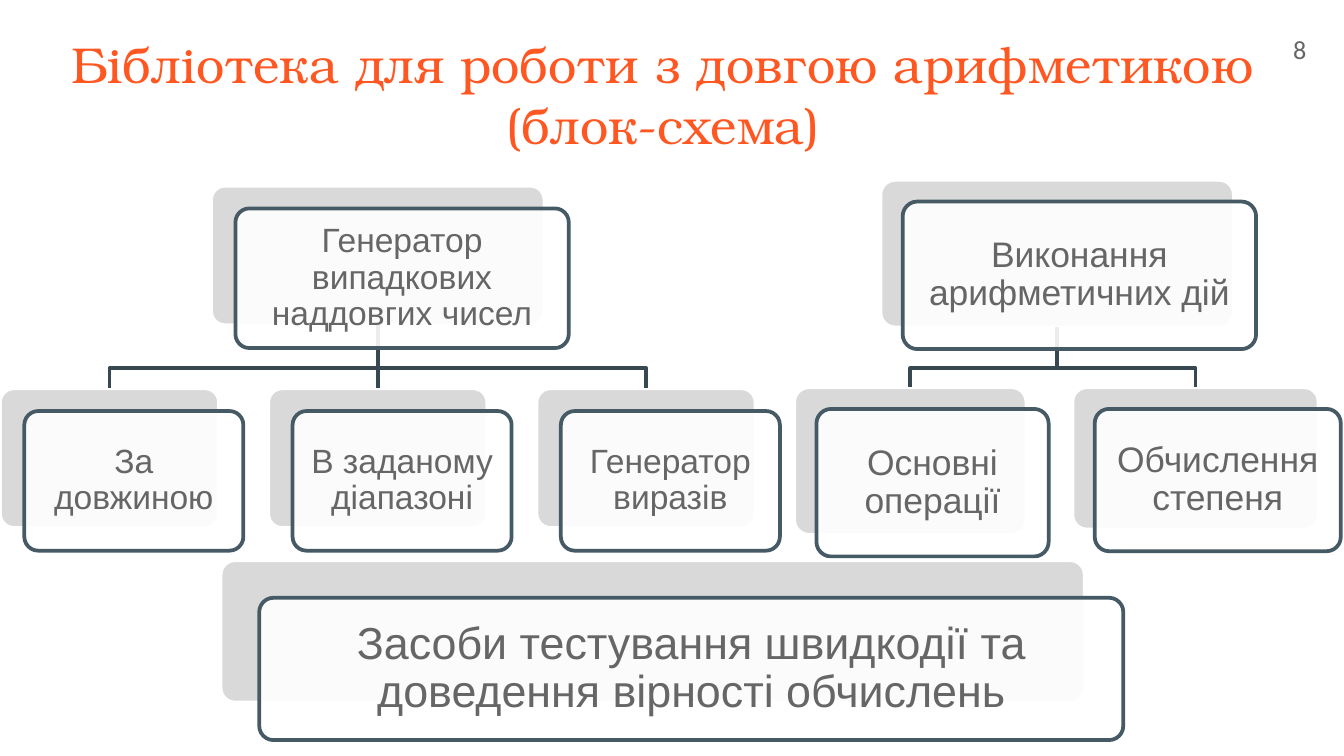
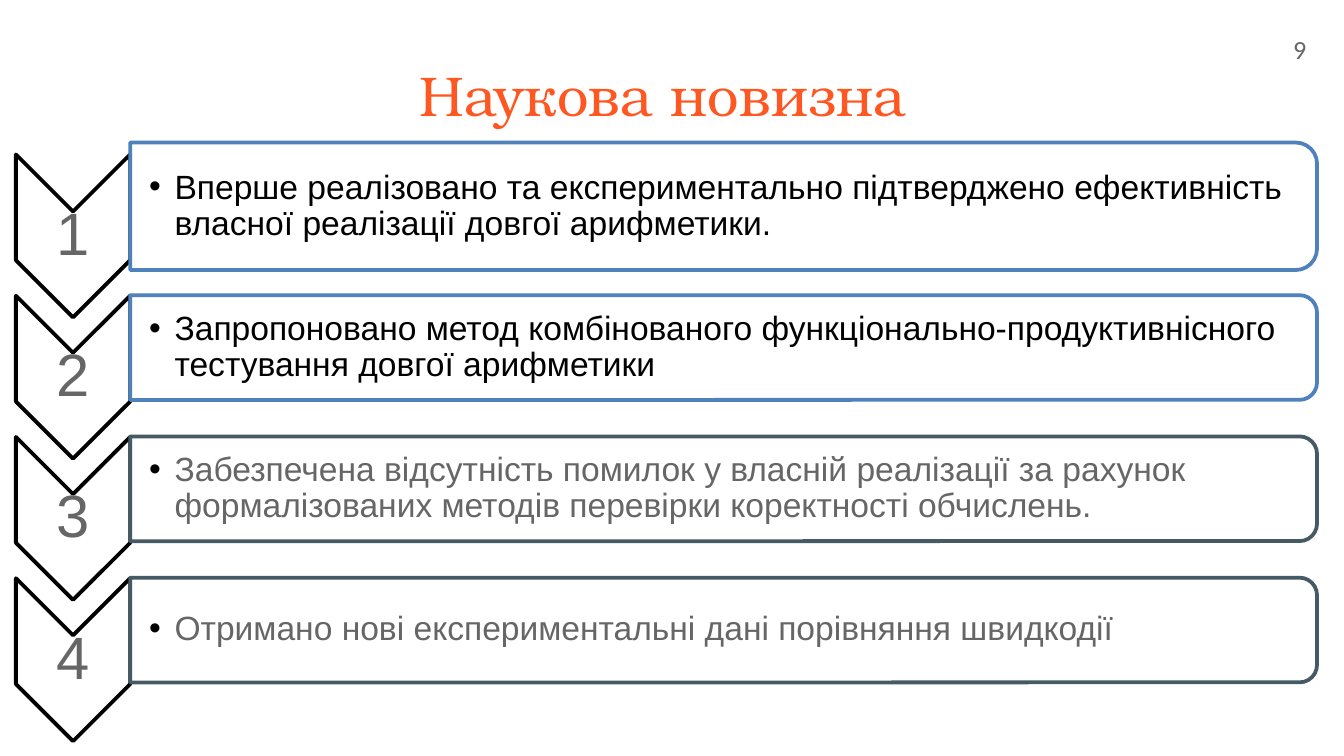
from lxml import etree
from pptx import Presentation
from pptx import util as u
from pptx.dml.color import RGBColor
from pptx.enum import shapes, text
from pptx.oxml.ns import qn

Cm, Pt = u.Cm, u.Pt
KIND = shapes.MSO_SHAPE
MID = text.MSO_ANCHOR.MIDDLE
LEFT, CENTER = text.PP_ALIGN.LEFT, text.PP_ALIGN.CENTER

HUES = {
    "title": "FF5722", "text": "666666", "black": "000000", "white": "FFFFFF",
    "back": "D9D9D9", "edge": "455A64", "line": "374850", "blue": "4F81BD",
}
SANS, SERIF, NUM = "Arial", "TeX Gyre Bonum", "Calibri"


def hue(name):
    return RGBColor.from_string(HUES[name])


# Text
def write(para, words, size, color="text", font=SANS, align=CENTER):
    para.alignment = align
    run = para.add_run()
    run.text = words
    run.font.size = Pt(size)
    run.font.name = font
    run.font.color.rgb = hue(color)


def space(para, after):
    para.line_spacing = 0.9
    para.space_after = Pt(after)


def frame(shape, pads, anchor=MID):
    tf = shape.text_frame
    tf.word_wrap = True
    tf.auto_size = text.MSO_AUTO_SIZE.NONE
    tf.vertical_anchor = anchor
    sides = ("left", "top", "right", "bottom")
    for side, pad in zip(sides, pads):
        setattr(tf, "margin_" + side, Cm(pad))
    return tf.paragraphs[0]


def label(slide, box, pads, anchor=MID):
    return frame(slide.shapes.add_textbox(*map(Cm, box)), pads, anchor)


def bullet(para, indent):
    ppr = para._p.get_or_add_pPr()
    ppr.set("marL", str(Cm(indent)))
    ppr.set("indent", str(-Cm(indent)))
    tint = etree.SubElement(ppr, qn("a:buClr"))
    etree.SubElement(tint, qn("a:srgbClr"), val=HUES["black"])
    etree.SubElement(ppr, qn("a:buFont"), typeface=SANS)
    etree.SubElement(ppr, qn("a:buChar"), char="•")


# Shapes
def block(slide, kind, box, fill, line, alpha=None):
    shape = slide.shapes.add_shape(kind, *map(Cm, box))
    shape.shadow.inherit = False
    shape.fill.solid()
    shape.fill.fore_color.rgb = hue(fill)
    if alpha:
        tint = shape.fill._xPr.find(".//" + qn("a:srgbClr"))
        etree.SubElement(tint, qn("a:alpha"), val=str(alpha * 1000))
    shape.line.color.rgb = hue(line)
    shape.line.width = Pt(2)
    return shape


def turned(slide, kind, box, *style, **more):
    """Place a shape turned by 90 degrees so that it covers the box."""
    x, y, w, h = box
    flat = (x + (w - h) / 2, y + (h - w) / 2, h, w)
    shape = block(slide, kind, flat, *style, **more)
    shape.rotation = 90
    return shape


def plate(slide, box):
    shape = block(slide, KIND.ROUNDED_RECTANGLE, box, "back", "white")
    shape.adjustments[0] = 0.1
    return shape


def card(slide, box, shift, words, size, pad):
    x, y, w, h = box
    place = (x + shift[0], y + shift[1], w, h)
    shape = block(slide, KIND.ROUNDED_RECTANGLE, place, "white", "edge", alpha=90)
    shape.adjustments[0] = 0.1
    para = frame(shape, [pad] * 4)
    space(para, size * 0.35)
    write(para, words, size)


def link(slide, top, kid, bend):
    """Join the foot of one plate to the head of another."""
    x1, y1 = top.left + top.width // 2, top.top + top.height
    x2, y2 = kid.left + kid.width // 2, kid.top
    if abs(x1 - x2) < Cm(0.1):
        line = slide.shapes.add_connector(shapes.MSO_CONNECTOR.STRAIGHT, x1, y1, x2, y2)
        line.begin_connect(top, 2)
        line.end_connect(kid, 0)
        etree.SubElement(line._element.spPr, qn("a:effectLst"))
    else:
        path = slide.shapes.build_freeform(x1, y1)
        path.add_line_segments([(x1, Cm(bend)), (x2, Cm(bend)), (x2, y2)], close=False)
        line = path.convert_to_shape()
        line.fill.background()
        line.shadow.inherit = False
    line.line.color.rgb = hue("line")
    line.line.width = Pt(2)


def tree(slide, nodes, shift, size, pad, bend=6.96):
    """Draw the first node above the others and link it to them."""
    root, *kids = [plate(slide, box) for box, _ in nodes]
    for kid in kids:
        link(slide, root, kid, bend)
    for box, words in nodes:
        card(slide, box, shift, words, size, pad)


# Shared page
def page(deck, title, size, num):
    slide = deck.slides.add_slide(deck.slide_layouts[5])
    head = slide.shapes.title
    head.left, head.top, head.width, head.height = map(Cm, (0.81, 0.58, 23.44, 2.39))
    pads = (0.25, 0.13, 0.25, 0.13)
    write(frame(head, pads), title, size, "title", SERIF)
    para = label(slide, (23.93, 0.36, 1.27, 0.99), pads, text.MSO_ANCHOR.BOTTOM)
    write(para, num, 14, font=NUM)
    return slide


# Block diagram
def scheme(deck):
    slide = page(deck, "Бібліотека для роботи з довгою арифметикою (блок-схема)", 27, "8")
    kinds = ["За довжиною", "В заданому діапазоні", "Генератор виразів"]
    nodes = [((3.99, 3.51, 6.3, 2.64), "Генератор випадкових наддовгих чисел")]
    nodes += [((5.07 * i, 7.34, 4.14, 2.64), words) for i, words in enumerate(kinds)]
    tree(slide, nodes, (0.46, 0.43), 18, 0.18)
    tree(slide, [
        ((16.64, 3.4, 6.68, 2.79), "Виконання арифметичних дій"),
        ((15.01, 7.32, 4.39, 2.79), "Основні операції"),
        ((20.27, 7.32, 4.65, 2.69), "Обчислення степеня"),
    ], (0.42, 0.41), 19, 0.2)
    tree(slide, [
        ((4.17, 10.59, 16.33, 2.69),
         "Засоби тестування швидкодії та доведення вірності обчислень"),
    ], (0.73, 0.71), 24, 0.25)


# Numbered list
def point(slide, num, mid, words, high, edge, color):
    low = mid + 0.56
    turned(slide, KIND.CHEVRON, (0.3, low - 1.54, 2.16, 3.08), "white", "black")
    para = label(slide, (0.3, low - 0.46, 2.16, 0.92), [0.05] * 4)
    space(para, 11)
    write(para, str(num), 32)

    bar = (2.46, mid - high / 2, 22.43, high)
    turned(slide, KIND.ROUND_2_SAME_RECTANGLE, bar, "white", edge, alpha=90)
    box = (2.46, mid - high / 2 + 0.1, 22.33, high - 0.2)
    para = label(slide, box, (0.36, 0.03, 0.03, 0.03))
    para.level = 1
    bullet(para, 0.48)
    space(para, 2.7)
    write(para, words, 18, color, align=LEFT)


def news(deck):
    slide = page(deck, "Наукова новизна", 30, "9")
    points = [
        ("Вперше реалізовано та експериментально підтверджено ефективність "
         "власної реалізації довгої арифметики.", 2.41, "blue", "black"),
        ("Запропоновано метод комбінованого функціонально-продуктивнісного "
         "тестування довгої арифметики", 1.98, "blue", "black"),
        ("Забезпечена відсутність помилок у власній реалізації за рахунок "
         "формалізованих методів перевірки коректності обчислень.", 1.98, "edge", "text"),
        ("Отримано нові експериментальні дані порівняння швидкодії", 1.98, "edge", "text"),
    ]
    for i, row in enumerate(points):
        point(slide, i + 1, 3.9 + 2.67 * i, *row)


def main():
    deck = Presentation()
    deck.slide_width, deck.slide_height = Cm(25.4), Cm(14.29)
    scheme(deck)
    news(deck)
    deck.save("out.pptx")


if __name__ == "__main__":
    main()
